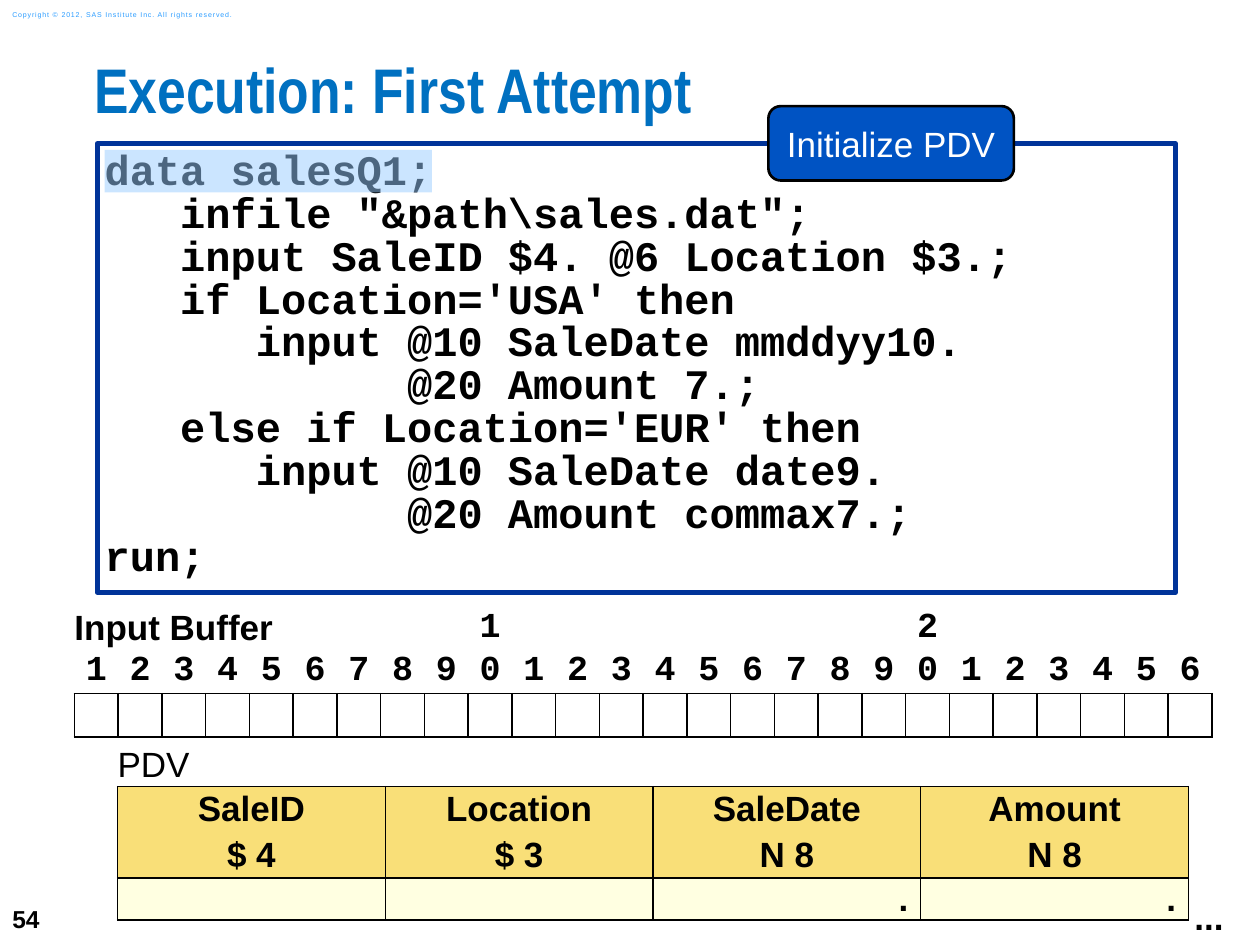
from lxml import etree
from pptx import Presentation
from pptx.dml.color import RGBColor
from pptx.enum.shapes import MSO_SHAPE
from pptx.enum.text import MSO_ANCHOR, PP_ALIGN
from pptx.oxml.ns import qn
from pptx.util import Cm, Pt

LEFT, MID, RIGHT = PP_ALIGN.LEFT, PP_ALIGN.CENTER, PP_ALIGN.RIGHT
TOP, CENTER = MSO_ANCHOR.TOP, MSO_ANCHOR.MIDDLE
RECT, ROUND = MSO_SHAPE.RECTANGLE, MSO_SHAPE.ROUNDED_RECTANGLE
BLACK, WHITE, GOLD, CREAM = "000000", "FFFFFF", "F9DF78", "FFFFE1"
SIDES = ("a:lnL", "a:lnR", "a:lnT", "a:lnB")

BASE = {"name": "Arial", "size": Pt(20), "bold": False}
BOLD = {**BASE, "bold": True}
MONO = {**BOLD, "name": "Courier New"}

CODE = r"""data salesQ1;
   infile "&path\sales.dat";
   input SaleID $4. @6 Location $3.;
   if Location='USA' then
      input @10 SaleDate mmddyy10.
            @20 Amount 7.;
   else if Location='EUR' then
      input @10 SaleDate date9.
            @20 Amount commax7.;
run;"""
FIELDS = [("SaleID", "$ 4", ""), ("Location", "$ 3", ""),
          ("SaleDate", "N 8", "."), ("Amount", "N 8", ".")]


def tint(code):
    """Return the colour for a hex string."""
    return RGBColor.from_string(code)


def apply(item, values):
    """Set each attribute named in values."""
    for key, value in values.items():
        setattr(item, key, value)


def pads(x, y):
    """Return equal side margins and equal top and bottom margins."""
    return {"margin_left": Cm(x), "margin_right": Cm(x),
            "margin_top": Cm(y), "margin_bottom": Cm(y)}


def write(frame, text, font, color=BLACK, align=LEFT, lead=None, gap=0):
    """Write one formatted paragraph for each line of text."""
    for i, line in enumerate(text.split("\n")):
        para = frame.add_paragraph() if i else frame.paragraphs[0]
        run = para.add_run()
        run.text = line
        apply(para, {"alignment": align, "line_spacing": lead,
                     "space_before": Pt(gap if i else 0)})
        apply(run.font, font)
        run.font.color.rgb = tint(color)


def add_box(slide, kind, area, fill, line=None, width=0):
    """Add a filled shape with an optional outline."""
    box = slide.shapes.add_shape(kind, *map(Cm, area))
    box.shadow.inherit = False
    box.fill.solid()
    box.fill.fore_color.rgb = tint(fill)
    if line:
        box.line.color.rgb = tint(line)
        box.line.width = Pt(width)
    else:
        box.line.fill.background()
    return box


def add_label(slide, area, text, font, color=BLACK, anchor=TOP, wrap=False):
    """Add a plain text box."""
    frame = slide.shapes.add_textbox(*map(Cm, area)).text_frame
    apply(frame, {"word_wrap": wrap, "vertical_anchor": anchor})
    write(frame, text, font, color)
    return frame


def add_grid(slide, area, rows, cols):
    """Add an unstyled table with equal columns and given row heights."""
    table = slide.shapes.add_table(len(rows), cols, *map(Cm, area)).table
    apply(table, {"first_row": False, "horz_banding": False})
    for row, height in zip(table.rows, rows):
        row.height = Cm(height)
    for col in table.columns:
        col.width = Cm(area[2] / cols)
    return table


def fill_cell(cell, text="", font=BOLD, align=MID, fill=None, edges=(), pad=0):
    """Format a cell, drawing a black line on the given edges."""
    apply(cell, {**pads(pad, 0), "vertical_anchor": CENTER})
    props = cell._tc.get_or_add_tcPr()
    for side in SIDES:
        line = etree.SubElement(props, qn(side), w=str(Pt(1)))
        if side in edges:
            solid = etree.SubElement(line, qn("a:solidFill"))
            etree.SubElement(solid, qn("a:srgbClr"), val=BLACK)
        else:
            etree.SubElement(line, qn("a:noFill"))
    if fill:
        cell.fill.solid()
        cell.fill.fore_color.rgb = tint(fill)
    else:
        cell.fill.background()
    if text:
        write(cell.text_frame, text, font, align=align, gap=4)


def add_title(slide, text):
    """Place and format the title."""
    title = slide.shapes.title
    apply(title, {"left": Cm(1.9), "top": Cm(1.27),
                  "width": Cm(23.5), "height": Cm(1.88)})
    apply(title.text_frame, {**pads(0, 0), "vertical_anchor": TOP})
    font = {"name": "Arial Narrow", "size": Pt(36), "bold": True}
    write(title.text_frame, text, font, "0070C0", lead=0.83)


def add_code(slide):
    """Add the framed program with its first line marked."""
    box = add_box(slide, RECT, (1.96, 2.9, 21.74, 9.04), WHITE, "003399", 3)
    apply(box.text_frame, {**pads(0.15, 0.15), "vertical_anchor": TOP})
    write(box.text_frame, CODE, {**MONO, "size": Pt(24)}, lead=0.85)
    mark = add_box(slide, RECT, (2.11, 3.02, 6.6, 0.86), "99CCFF")
    color = mark.fill._xPr.find(".//" + qn("a:srgbClr"))
    etree.SubElement(color, qn("a:alpha"), val="50000")


def add_buffer(slide, count=26):
    """Add the input buffer with its column ruler."""
    table = add_grid(slide, (1.5, 12.22, 22.94, 2.64), [0.88] * 3, count)
    for i in range(count):
        tens, unit = divmod(i + 1, 10)
        fill_cell(table.cell(0, i), "" if unit else str(tens), MONO)
        fill_cell(table.cell(1, i), str(unit), MONO, edges=SIDES[3:])
        fill_cell(table.cell(2, i), edges=SIDES)
    head = table.cell(0, 0)
    head.merge(table.cell(0, 8))
    write(head.text_frame, "Input Buffer", BOLD)


def add_vector(slide):
    """Add the program data vector."""
    rows = [0.84, 1.84, 0.84]
    table = add_grid(slide, (2.37, 15.01, 21.59, 3.52), rows, len(FIELDS))
    for i, (name, kind, value) in enumerate(FIELDS):
        fill_cell(table.cell(0, i), fill=WHITE, edges=SIDES[3:])
        fill_cell(table.cell(1, i), f"{name}\n{kind}", fill=GOLD,
                  edges=SIDES, pad=0.25)
        fill_cell(table.cell(2, i), value, align=RIGHT, fill=CREAM,
                  edges=SIDES, pad=0.25)
    head = table.cell(0, 0)
    head.merge(table.cell(0, len(FIELDS) - 1))
    write(head.text_frame, "PDV", BASE)


def add_callout(slide):
    """Add the rounded step label."""
    box = add_box(slide, ROUND, (15.49, 2.14, 4.95, 1.5), "0053C3", BLACK, 1.5)
    apply(box.text_frame, {**pads(0.25, 0.25), "vertical_anchor": TOP})
    write(box.text_frame, "Initialize PDV", BASE, WHITE, MID)


def main():
    """Build and save the slide."""
    deck = Presentation()
    apply(deck, {"slide_width": Cm(25.4), "slide_height": Cm(19.05)})
    slide = deck.slides.add_slide(deck.slide_layouts[5])
    add_label(slide, (0, 17.98, 1.47, 1.07), "54",
              {**BOLD, "size": Pt(14)}, anchor=CENTER)
    credit = add_label(slide, (0, 0.08, 5.36, 0.43),
                       "Copyright © 2012, SAS Institute Inc. All rights reserved.",
                       {**BASE, "size": Pt(4)}, "2A9CFF", CENTER, True)
    credit.paragraphs[0].runs[0]._r.get_or_add_rPr().set("spc", "50")
    add_title(slide, "Execution: First Attempt")
    add_code(slide)
    add_buffer(slide)
    add_vector(slide)
    add_callout(slide)
    add_label(slide, (23.83, 17.93, 1.09, 1.12), "...", BOLD)
    deck.save("out.pptx")


if __name__ == "__main__":
    main()
